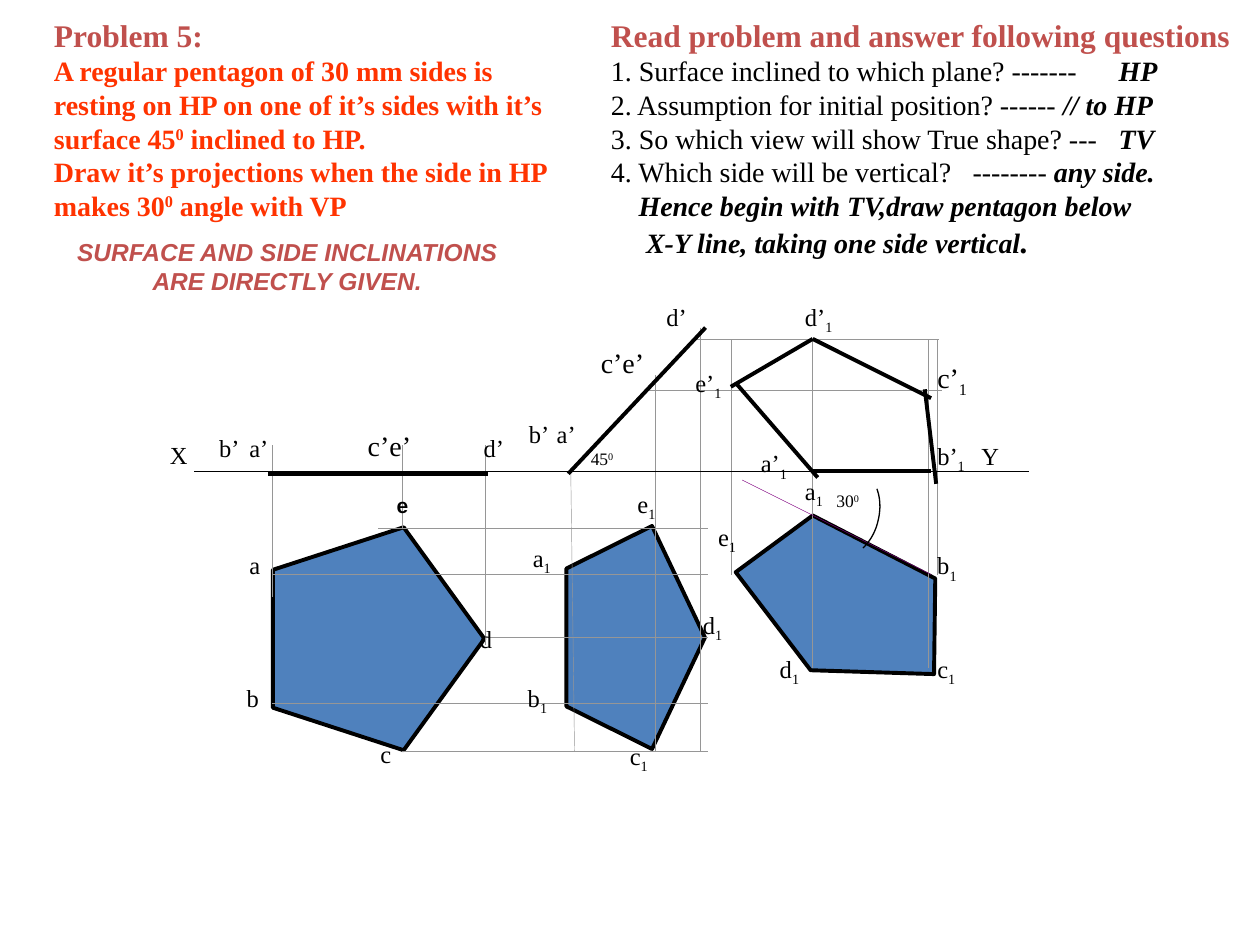
"""Builds a slide on the projections of a regular pentagon inclined to HP and VP."""
from lxml import etree
from pptx import Presentation
from pptx import util as u
from pptx.dml.color import RGBColor
from pptx.enum import shapes, text
from pptx.oxml.ns import qn

COLOURS = {"black": "000000", "brick": "C0504D", "orange": "FF3300",
           "blue": "4F81BD", "grey": "969696", "purple": "800080"}
SERIF, SANS = "Times New Roman", "Arial"
SUPER, SUB = 30000, -25000

# Styles: font, size, colour, bold, italic
HEADING = (SERIF, 18, "brick", True, False)
PROBLEM = (SERIF, 16, "orange", True, False)
QUESTION = (SERIF, 16, "black", False, False)
ANSWER = (SERIF, 16, "black", True, True)
STOP = (SERIF, 18, "black", True, True)
REMARK = (SANS, 14, "brick", True, True)
CORNER = (SANS, 12, "black", True, False)

QUESTIONS = [
    [("Read problem and answer following questions", HEADING)],
    [("1. Surface inclined to which plane? -------\t", QUESTION), ("HP", ANSWER)],
    [("2. Assumption for initial position? ------ ", QUESTION), ("// to HP", ANSWER)],
    [("3. So which view will show True shape? ---\t", QUESTION), ("TV", ANSWER)],
    [("4. Which side will be vertical?\t-------- ", QUESTION), ("any side.", ANSWER)],
    [("Hence begin with TV,draw pentagon below", ANSWER)],
    [("X-Y line, taking one side vertical", ANSWER), (".", STOP)],
]
TAB_STOPS = {1: 4.03, 3: 4.03, 4: 2.87}
INDENTS = {5: 0.22, 6: 0.28}
STATEMENT = [
    [("Problem 5:", HEADING)],
    [("A regular pentagon of 30 mm sides is resting on HP on one of it’s sides "
      "with it’s surface 45", PROBLEM), ("0", PROBLEM, SUPER),
     (" inclined to HP.", PROBLEM)],
    [("Draw it’s projections when the side in HP makes 30", PROBLEM),
     ("0", PROBLEM, SUPER), (" angle with VP", PROBLEM)],
]
REMARKS = [[("SURFACE AND SIDE INCLINATIONS", REMARK)], [("ARE DIRECTLY GIVEN.", REMARK)]]

# Label: main text, index, size, width, places
LABELS = [
    ("a", "", 14, 0.29, [(1.88, 4.32)]),
    ("b", "", 14, 0.30, [(1.86, 5.37)]),
    ("c", "", 14, 0.29, [(2.92, 5.82)]),
    ("d", "", 14, 0.30, [(3.71, 4.90)]),
    ("a’", "", 14, 0.35, [(1.88, 3.39), (4.32, 3.28)]),
    ("b’", "", 14, 0.36, [(1.64, 3.39), (4.10, 3.28)]),
    ("d’", "", 14, 0.36, [(3.74, 3.39), (5.19, 2.35)]),
    ("c’e’", "", 16, 0.55, [(2.82, 3.35), (4.67, 2.69)]),
    ("a", "1", 14, 0.35, [(4.13, 4.26), (6.29, 3.73)]),
    ("b", "1", 14, 0.36, [(4.09, 5.37), (7.34, 4.32)]),
    ("c", "1", 14, 0.35, [(4.90, 5.83), (7.34, 5.14)]),
    ("d", "1", 14, 0.36, [(5.48, 4.79), (6.09, 5.14)]),
    ("e", "1", 14, 0.35, [(4.96, 3.83), (5.60, 4.09)]),
    ("a’", "1", 14, 0.41, [(5.94, 3.51)]),
    ("b’", "1", 14, 0.42, [(7.34, 3.45)]),
    ("c’", "1", 16, 0.45, [(7.34, 2.81)]),
    ("d’", "1", 14, 0.43, [(6.29, 2.35)]),
    ("e’", "1", 14, 0.41, [(5.42, 2.87)]),
    ("X", "", 14, 0.34, [(1.25, 3.44)]),
    ("Y", "", 14, 0.34, [(7.69, 3.45)]),
]
ANGLES = [("45", 4.59, 3.51), ("30", 6.54, 3.84)]
LABEL_HEIGHTS = {10: 0.27, 14: 0.33, 16: 0.37}

# Pentagon: left, top, width, height, rotation
PENTAGONS = [(2.12, 4.23, 1.77, 1.68, 90), (4.16, 4.51, 1.77, 1.1, 90),
             (5.8, 4.28, 1.77, 1.1, 207.2)]
VERTICALS = [(2.16, 4.74, 3.53), (3.19, 4.19, 3.53), (3.85, 5.12, 3.53),
             (5.56, 2.6, 5.96), (5.2, 2.98, 5.96), (5.8, 4.56, 2.69),
             (6.45, 5.3, 2.69), (7.37, 5.3, 2.69), (7.44, 4.56, 2.69)]
HORIZONTALS = [(4.19, 3, 5.62), (4.56, 2.16, 5.62), (5.06, 3.85, 5.62),
               (5.58, 2.16, 5.62), (5.96, 3.19, 5.62), (2.69, 5.49, 7.45),
               (3.1, 5.15, 7.48)]
SLANTED_GUIDE = (4.53, 3.74, 4.56, 5.96)
SIDE_GUIDE = (7.39, 4.56, 5.89, 3.81)
AXIS = (1.54, 3.74, 8.17, 3.74)
EDGES = [(2.13, 3.76, 3.87, 3.76), (4.51, 3.76, 5.6, 2.6),
         (6.45, 2.69, 5.8, 3.07), (5.84, 3.04, 6.49, 3.79), (6.45, 3.74, 7.39, 3.74),
         (7.34, 3.09, 7.43, 3.84), (6.45, 2.69, 7.39, 3.16)]
ARC = [[(6.85, 4.35), (6.91, 4.29), (6.95, 4.22), (6.97, 4.13)],
       [(6.97, 4.13), (6.99, 4.05), (6.99, 3.96), (6.96, 3.88)]]


def length(inches):
    return u.Cm(inches * 2.54)


def colour(name):
    return RGBColor.from_string(COLOURS[name])


def add_text(page, place, lines, wrap=False, align=None, tabs={}, indents={}):
    box = page.shapes.add_textbox(*map(length, place))
    frame = box.text_frame
    frame.word_wrap = wrap
    frame.auto_size = text.MSO_AUTO_SIZE.SHAPE_TO_FIT_TEXT
    for index, line in enumerate(lines):
        para = frame.add_paragraph() if index else frame.paragraphs[0]
        para.alignment = align
        props = para._p.get_or_add_pPr()
        if index in indents:
            props.set("marL", str(length(indents[index])))
        if index in tabs:
            stops = etree.SubElement(props, qn("a:tabLst"))
            etree.SubElement(stops, qn("a:tab"), pos=str(length(tabs[index])), algn="l")
        for words, (font, size, shade, bold, italic), *shift in line:
            span = para.add_run()
            span.text = words
            span.font.name, span.font.size = font, u.Pt(size)
            span.font.bold, span.font.italic = bold, italic
            span.font.color.rgb = colour(shade)
            if shift:
                span._r.get_or_add_rPr().set("baseline", str(shift[0]))


def add_label(page, main, index, shift, size, place):
    style = (SERIF, size, "black", False, False)
    spans = [(main, style)] + ([(index, style, shift)] if index else [])
    add_text(page, place + (LABEL_HEIGHTS[size],), [spans])


def add_line(page, ends, shade, weight):
    line = page.shapes.add_connector(shapes.MSO_CONNECTOR.STRAIGHT, *map(length, ends))
    line.line.color.rgb, line.line.width = colour(shade), u.Pt(weight)
    etree.SubElement(line._element.spPr, qn("a:effectLst"))


def add_pentagon(page, left, top, width, height, rotation):
    shape = page.shapes.add_shape(shapes.MSO_SHAPE.REGULAR_PENTAGON,
                                  *map(length, (left, top, width, height)))
    shape.rotation = rotation
    shape.shadow.inherit = False
    shape.fill.solid()
    shape.fill.fore_color.rgb = colour("blue")
    shape.line.color.rgb, shape.line.width = colour("black"), u.Pt(2.25)


def curve_points(controls, steps=12):
    for step in range(steps + 1):
        t = step / steps
        weights = ((1 - t) ** 3, 3 * t * (1 - t) ** 2, 3 * t * t * (1 - t), t ** 3)
        yield tuple(length(sum(w * point[axis] for w, point in zip(weights, controls)))
                    for axis in (0, 1))


def add_arc(page):
    points = [point for controls in ARC for point in curve_points(controls)]
    builder = page.shapes.build_freeform(*points[0])
    builder.add_line_segments(points[1:], close=False)
    arc = builder.convert_to_shape()
    arc.shadow.inherit = False
    arc.fill.background()
    arc.line.color.rgb, arc.line.width = colour("black"), u.Pt(0.75)


def main():
    deck = Presentation()
    deck.slide_width, deck.slide_height = length(10), length(7.5)
    page = deck.slides.add_slide(deck.slide_layouts[6])
    add_text(page, (4.75, 0.08, 5.12, 2.04), QUESTIONS, tabs=TAB_STOPS, indents=INDENTS)
    add_text(page, (0.33, 0.08, 4.33, 1.74), STATEMENT, wrap=True)
    for pentagon in PENTAGONS:
        add_pentagon(page, *pentagon)
    guides = [(x, start, x, end) for x, start, end in VERTICALS]
    guides += [(start, y, end, y) for y, start, end in HORIZONTALS]
    for ends in guides + [SLANTED_GUIDE]:
        add_line(page, ends, "grey", 0.25)
    add_line(page, SIDE_GUIDE, "purple", 0.25)
    for ends in EDGES:
        add_line(page, ends, "black", 2.25)
    add_line(page, AXIS, "black", 0.75)
    for main_text, index, size, width, places in LABELS:
        for left, top in places:
            add_label(page, main_text, index, SUB, size, (left, top, width))
    for degrees, left, top in ANGLES:
        add_label(page, degrees, "0", SUPER, 10, (left, top, 0.39))
    add_arc(page)
    add_text(page, (3.05, 3.86, 0.35, 0.3), [[("e", CORNER)]], wrap=True)
    add_text(page, (0.5, 1.83, 3.56, 0.57), REMARKS, align=text.PP_ALIGN.CENTER)
    deck.save("out.pptx")


if __name__ == "__main__":
    main()
